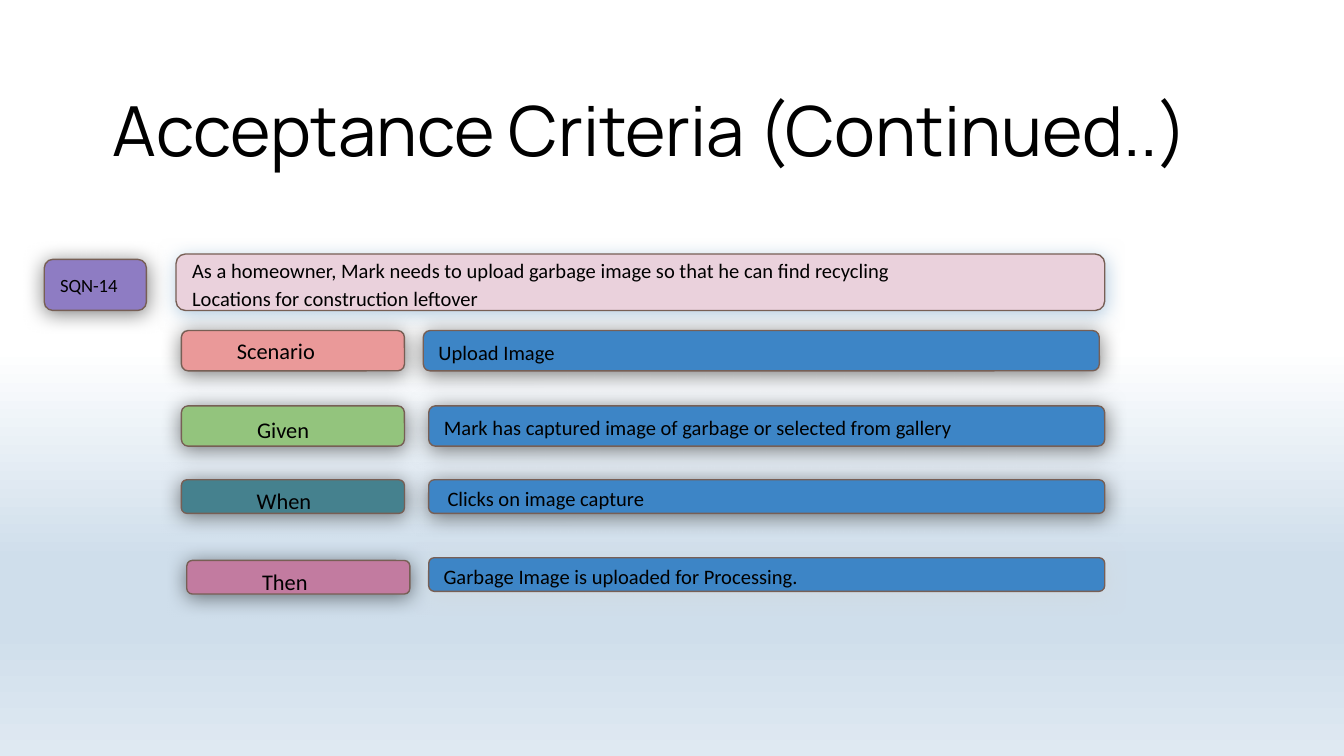
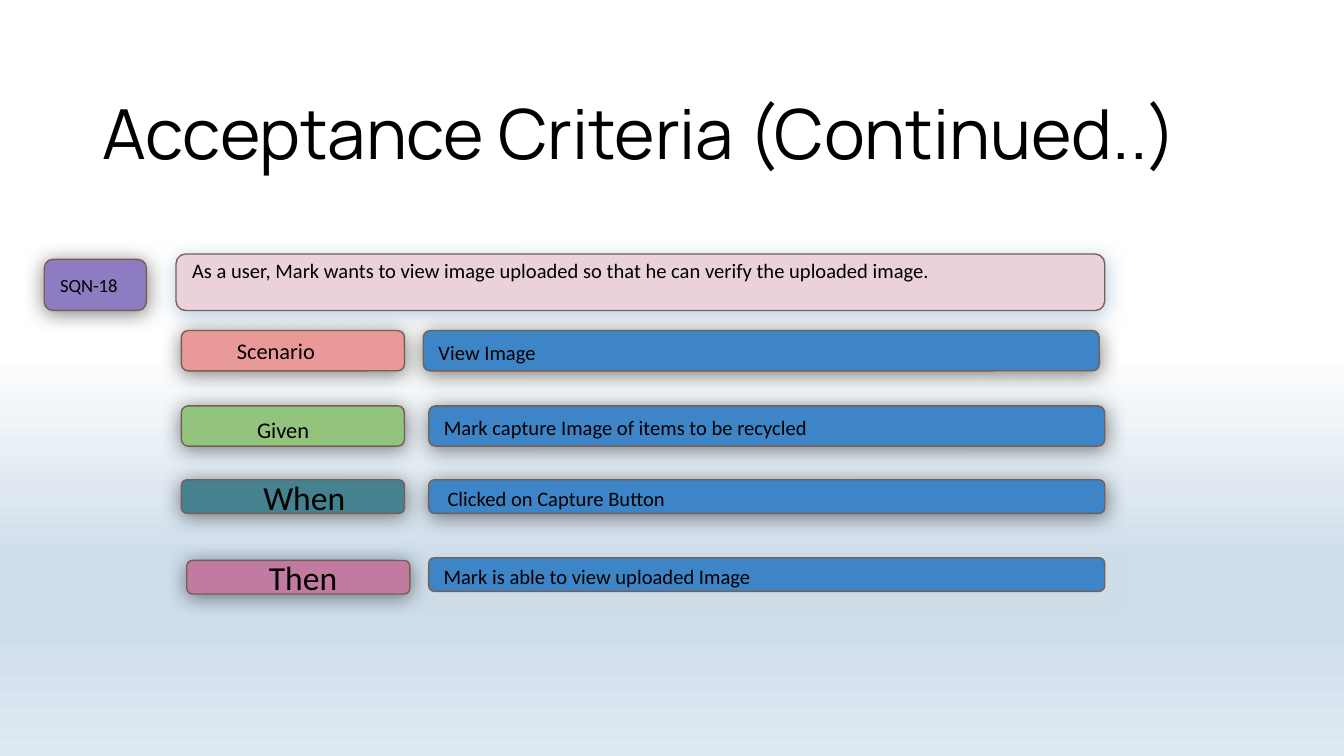
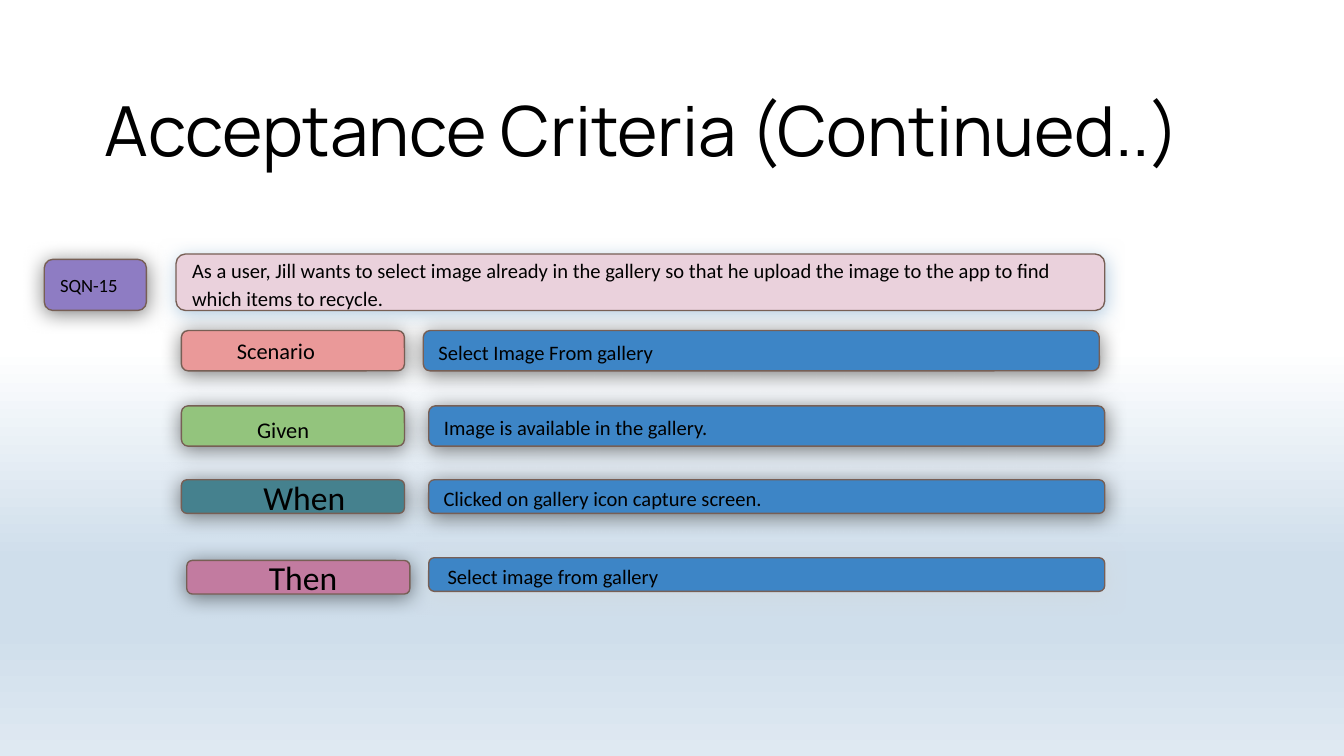
import pptx
import pptx.dml.color
import pptx.enum.shapes
import pptx.enum.text
import pptx.oxml
import pptx.oxml.ns
import pptx.util
from lxml import etree

HEX = {
    "ink": "000000", "edge": "775F55", "story": "EAD1DC", "code": "8E7CC3",
    "scene": "EA9999", "given": "93C47D", "when": "45818E", "then": "C27BA0",
    "value": "3D85C6", "glow": "94B6D2", "mist": "D5D5D5",
}
# Background stops: percent, colour, percent opaque
STOPS = [(46, "FFFFFF", 20), (74, "CFDEEB", 100), (83, "CFDEEB", 100), (100, "DFE9F2", 100)]
TITLE = "Acceptance Criteria (Continued..)"
PAD = 0.1

# Rows of the card: name, fill, label column, label row, value column, value row, height, value shadow
ROWS = [
    ("Scenario", "scene", 13.5, 24.6, 31.5, 24.6, 3, "ink"),
    ("Given", "given", 13.5, 30.2, 31.9, 30.2, 3, "ink"),
    ("When", "when", 13.5, 35.7, 31.9, 35.7, 2.5, "ink"),
    ("Then", "then", 13.9, 41.7, 31.9, 41.5, 2.5, "mist"),
]
# Label styles: size, indent, drop below the middle
PLAIN, LOW, LARGE = (12, 0.3, 0), (12, 0.45, 0.03), (18, 0.5, 0)

# One card per slide; "head" is column, row, width and indent of the title
CARDS = [
    {"head": (7.4, 5.5, 95.6, 0), "code": "SQN-14", "rise": 0,
     "story": ["As a homeowner, Mark needs to upload garbage image so that he can find recycling",
               "Locations for construction leftover"],
     "looks": [PLAIN, LOW, LOW, LOW],
     "steps": [("Upload Image", 0),
               ("Mark has captured image of garbage or selected from gallery", 0),
               ("Clicks on image capture", 0.03),
               ("Garbage Image is uploaded for Processing.", 0)]},
    {"head": (4.5, 5.7, 105, 0.21), "code": "SQN-18", "rise": -0.1,
     "story": ["As a user, Mark wants to view image uploaded so that he can verify the uploaded image."],
     "looks": [PLAIN, LOW, LARGE, LARGE],
     "steps": [("View Image", 0),
               ("Mark capture Image of items to be recycled", 0),
               ("Clicked on Capture Button", 0.03),
               ("Mark is able to view uploaded Image", 0)]},
    {"head": (6.8, 5.5, 98.3, 0), "code": "SQN-15", "rise": 0,
     "story": ["As a user, Jill wants to select image already in the gallery so that he upload "
               "the image to the app to find which items to recycle."],
     "looks": [PLAIN, LOW, LARGE, LARGE],
     "steps": [("Select Image From gallery", 0),
               ("Image is available in the gallery.", 0),
               ("Clicked on gallery icon capture screen.", 0),
               ("Select image from gallery", 0.03)]},
]


def tone(name):
    return pptx.dml.color.RGBColor.from_string(HEX[name])


class Deck:
    """Style and current slide, on a grid of 100 columns with square cells."""

    def __init__(self):
        self.prs = pptx.Presentation()
        self.prs.slide_width = pptx.util.Inches(10)
        self.prs.slide_height = self.prs.slide_width * 9 // 16
        self.cell = self.prs.slide_width // 100
        self.slide = None
        self.ground()

    def ground(self):
        """Give the master its gradient."""
        master = self.prs.slide_master
        master.background.fill.solid()
        back = master.element.xpath("p:cSld/p:bg/p:bgPr")[0]
        stops = "".join(
            f'<a:gs pos="{at * 1000}"><a:srgbClr val="{color}">'
            f'<a:alpha val="{solid * 1000}"/></a:srgbClr></a:gs>'
            for at, color, solid in STOPS)
        back.replace(back[0], pptx.oxml.parse_xml(
            f'<a:gradFill {pptx.oxml.ns.nsdecls("a")} rotWithShape="1"><a:gsLst>{stops}</a:gsLst>'
            '<a:lin ang="5400000" scaled="0"/></a:gradFill>'))

    def place(self, shape, *cells):
        shape.left, shape.top, shape.width, shape.height = (round(n * self.cell) for n in cells)

    def label(self, shape, lines, face, size, indent=0, drop=0, space=None):
        frame = shape.text_frame
        frame.word_wrap = True
        frame.margin_left = frame.margin_right = pptx.util.Inches(PAD)
        frame.margin_top = pptx.util.Inches(PAD + drop)
        frame.margin_bottom = pptx.util.Inches(PAD - drop)
        frame.text = "\n".join(lines)
        for para in frame.paragraphs:
            para.alignment = pptx.enum.text.PP_ALIGN.LEFT
            para.line_spacing = space
            para.font.name, para.font.size = face, pptx.util.Pt(size)
            para.font.color.rgb = tone("ink")
            props = para._p.get_or_add_pPr()
            props.set("marL", str(pptx.util.Inches(indent)))
            props.set("indent", "0")
        return frame

    def title(self, col, row, width, indent):
        """Start a slide and set its title."""
        self.slide = self.prs.slides.add_slide(self.prs.slide_layouts[5])
        head = self.slide.shapes.title
        self.place(head, col, row, width, 8.2)
        frame = self.label(head, [TITLE], "Manrope", 37, indent)
        frame.vertical_anchor = pptx.enum.text.MSO_ANCHOR.TOP
        frame.auto_size = pptx.enum.text.MSO_AUTO_SIZE.SHAPE_TO_FIT_TEXT

    def shade(self, shape, color, solid, blur):
        shape.shadow.inherit = False
        name = pptx.oxml.ns.qn
        effects = shape.element.spPr.find(name("a:effectLst"))
        outer = etree.SubElement(
            effects, name("a:outerShdw"), blurRad=str(pptx.util.Pt(blur)),
            dist=str(pptx.util.Pt(1.5)), dir="5400000", algn="bl", rotWithShape="0")
        hue = etree.SubElement(outer, name("a:srgbClr"), val=HEX[color])
        etree.SubElement(hue, name("a:alpha"), val=str(solid * 1000))

    def box(self, cells, fill, lines, size, shadow=("ink", 50, 11.2), **text):
        kind = pptx.enum.shapes.MSO_SHAPE.ROUNDED_RECTANGLE
        shape = self.slide.shapes.add_shape(kind, 0, 0, 0, 0)
        self.place(shape, *cells)
        shape.fill.solid()
        shape.fill.fore_color.rgb = tone(fill)
        shape.line.color.rgb = tone("edge")
        shape.line.width = pptx.util.Pt(0.75)
        self.shade(shape, *shadow)
        frame = self.label(shape, lines, "Calibri", size, **text)
        frame.vertical_anchor = pptx.enum.text.MSO_ANCHOR.MIDDLE

    def card(self, card):
        self.title(*card["head"])
        # Story and its code
        self.box((13.1, 18.9, 69.1, 4.2), "story", card["story"], 11,
                 ("glow", 70, 10.1), drop=card["rise"], space=1.15)
        self.box((3.3, 19.3, 7.6, 3.8), "code", [card["code"]], 10)
        # Labels, then values
        for (name, fill, col, row, _, _, high, _), (size, indent, drop) in zip(ROWS, card["looks"]):
            self.box((col, row, 16.6, high), fill, [name], size, indent=indent, drop=drop)
        for (_, _, _, _, col, row, high, dark), (step, indent) in zip(ROWS, card["steps"]):
            self.box((col, row, 50.3, high), "value", [step], 11,
                     (dark, 50, 11.2), indent=indent, space=1.15)


def main():
    deck = Deck()
    for card in CARDS:
        deck.card(card)
    deck.prs.save("out.pptx")


if __name__ == "__main__":
    main()
